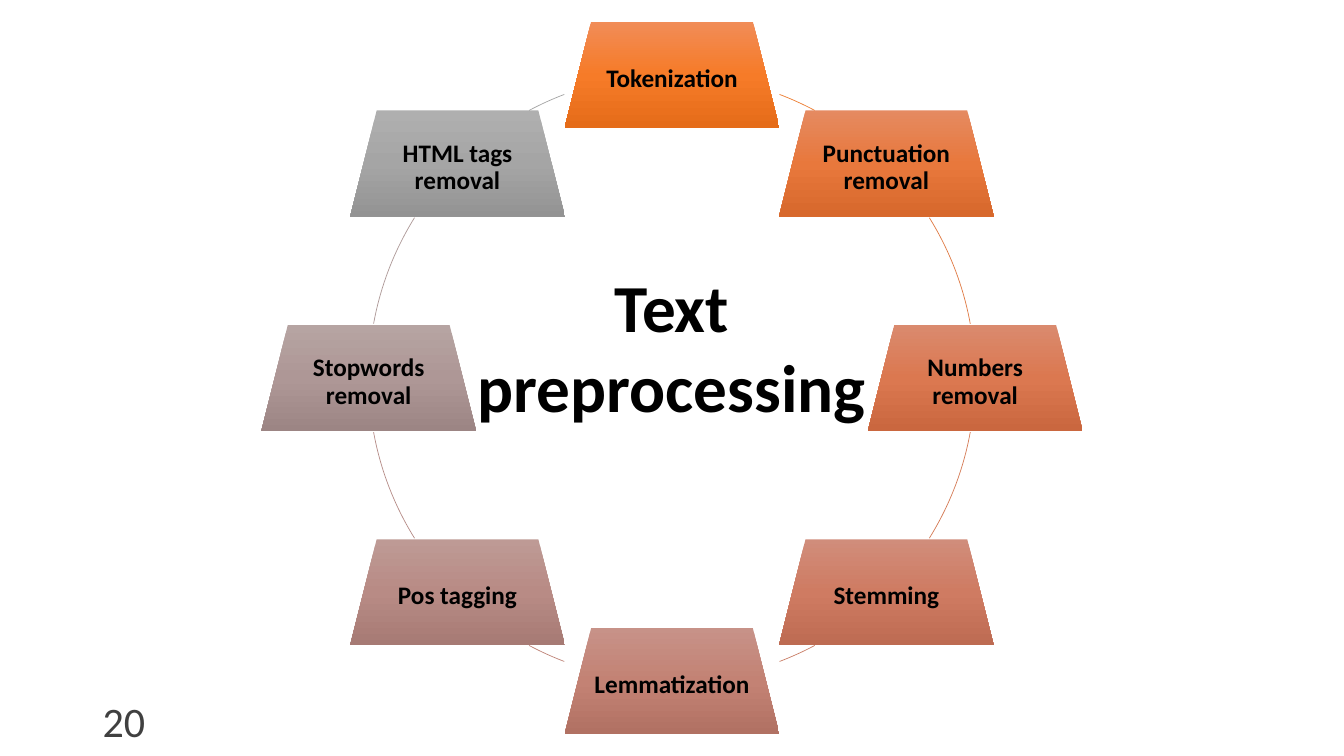
from copy import deepcopy
from math import cos, radians, sin

from pptx import Presentation
from pptx.dml.color import RGBColor as RGB
from pptx.enum.shapes import MSO_SHAPE as Shape
from pptx.enum.text import MSO_ANCHOR as Anchor, PP_ALIGN as Align
from pptx.util import Pt

# Each step: gradient top, middle and bottom, then the arc that follows it
HUES = {
    "Tokenization": "F18C57 F67B28 E56C19 ED7D31",
    "Punctuation removal": "E58A61 E8783C D7682C E07A44",
    "Numbers removal": "DA8A6E DB7850 CA673F D57B56",
    "Stemming": "D08D7B CF7B62 BD6B52 CA7E67",
    "Lemmatization": "C79288 C38274 B17163 BF8478",
    "Pos tagging": "BE9A95 B88B85 A67A74 B68D88",
    "Stopwords removal": "B6A4A2 AE9796 9C8584 AD9897",
    "HTML tags removal": "AFAFAF A5A5A5 939393 A5A5A5",
}
INK = {"text": "000000", "page": "404040"}
MID_X, MID_Y, RADIUS = 480, 270, 216.6
STEP_W, STEP_H = 153.4, 75.8
# Visible arcs of one half ring, in degrees clockwise from the top
SPANS = [(20.8, 28.1), (58.1, 79.7), (100.3, 121.9), (151.9, 159.2)]


class Board:
    font = "Calibri"

    def __init__(self, slide):
        self.shapes = slide.shapes

    def put_text(self, shape, text, size, color, bold=True,
                 align=Align.CENTER, anchor=Anchor.MIDDLE, space=None):
        frame = shape.text_frame
        frame.word_wrap = True
        frame.vertical_anchor = anchor
        par = frame.paragraphs[0]
        par.alignment = align
        par.line_spacing = space
        run = par.add_run()
        run.text = text
        run.font.name, run.font.size, run.font.bold = self.font, Pt(size), bold
        run.font.color.rgb = RGB.from_string(color)
        return frame

    def label(self, x, y, w, h, text, size, color, **style):
        box = self.shapes.add_textbox(Pt(x), Pt(y), Pt(w), Pt(h))
        self.put_text(box, text, size, color, **style)

    def shade(self, shape, hues):
        """Fill from top to bottom with three evenly spaced colours."""
        fill = shape.fill
        fill.gradient()
        fill.gradient_angle = 270
        first = shape._element.spPr.find(".//{*}gs")
        first.addnext(deepcopy(first))
        for i, (stop, hue) in enumerate(zip(fill.gradient_stops, hues)):
            stop.position = i / 2
            stop.color.rgb = RGB.from_string(hue)

    def step(self, x, y, text, hues):
        """Draw a trapezoid centred on x, y."""
        shape = self.shapes.add_shape(
            Shape.TRAPEZOID, Pt(x - STEP_W / 2), Pt(y - STEP_H / 2),
            Pt(STEP_W), Pt(STEP_H))
        shape.shadow.inherit = False
        shape.line.fill.background()
        self.shade(shape, hues)
        frame = self.put_text(shape, text, 18, INK["text"], space=0.9)
        frame.margin_left = frame.margin_right = Pt(5)
        frame.margin_top = frame.margin_bottom = Pt(5)

    def arc(self, start, end, hue):
        shape = self.shapes.add_shape(
            Shape.ARC, Pt(MID_X - RADIUS), Pt(MID_Y - RADIUS),
            Pt(2 * RADIUS), Pt(2 * RADIUS))
        shape.shadow.inherit = False
        shape.fill.background()
        shape.line.color.rgb = RGB.from_string(hue)
        shape.line.width = Pt(0.5)
        # Arc angles run from three o'clock, in units of 0.6 per degree
        for i, turn in enumerate((start, end)):
            shape.adjustments[i] = (turn - 90) % 360 * 0.6


def main():
    deck = Presentation()
    deck.slide_width, deck.slide_height = Pt(960), Pt(540)
    board = Board(deck.slides.add_slide(deck.slide_layouts[6]))

    for i, (name, row) in enumerate(HUES.items()):
        *hues, line = row.split()
        turn = radians(360 / len(HUES) * i)
        board.step(MID_X + RADIUS * sin(turn), MID_Y - RADIUS * cos(turn),
                   name, hues)
        half, part = divmod(i, len(SPANS))
        start, end = SPANS[part]
        board.arc(start + 180 * half, end + 180 * half, line)

    board.label(316.8, 185.8, 326.2, 123.8, "Text preprocessing", 48,
                INK["text"], anchor=Anchor.TOP)
    board.label(66.2, 500.4, 216, 28.8, "20", 30, INK["page"], bold=False,
                align=Align.LEFT)
    deck.save("out.pptx")


if __name__ == "__main__":
    main()
